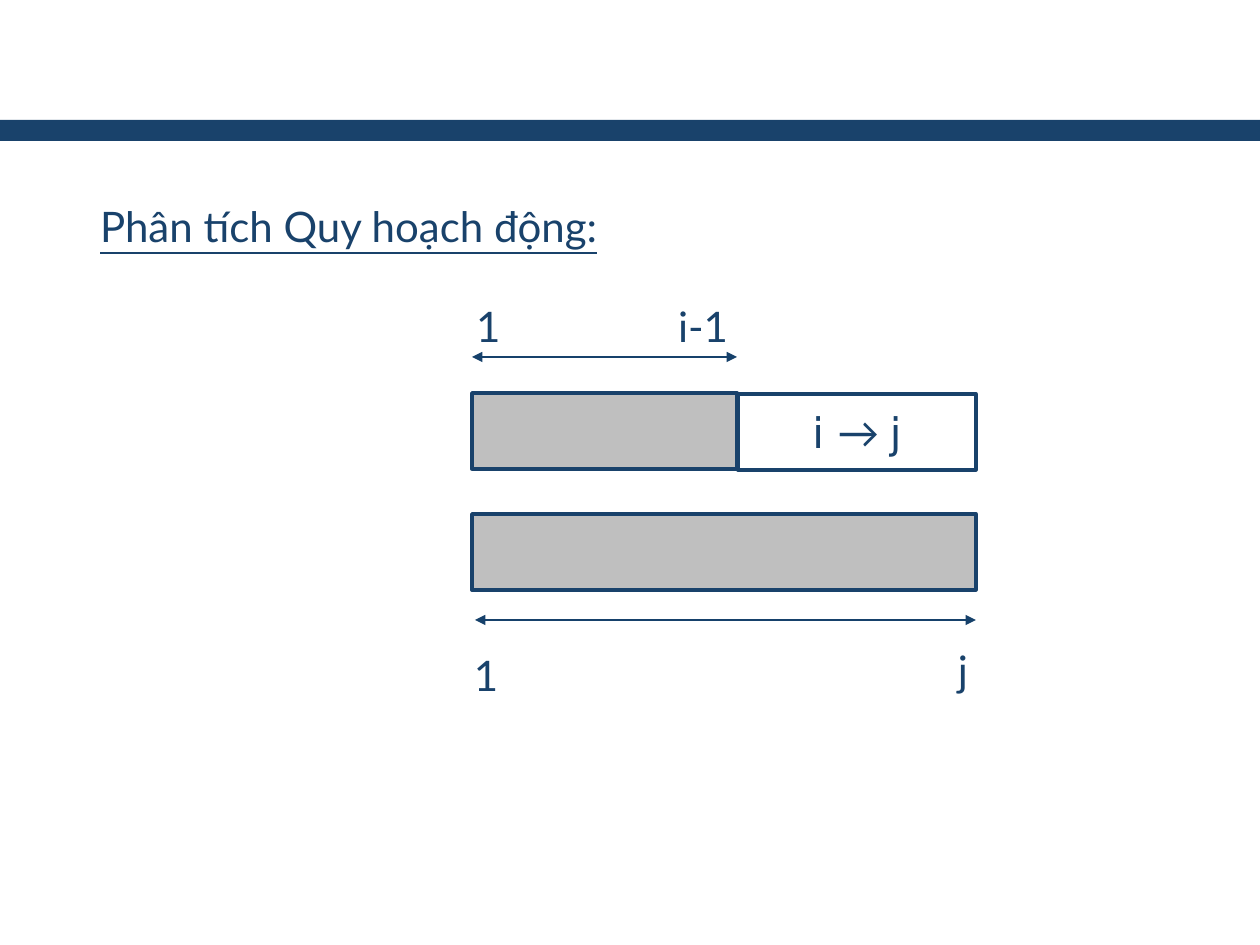
from lxml import etree
from pptx import Presentation
from pptx.dml.color import RGBColor
from pptx.enum.shapes import MSO_CONNECTOR, MSO_SHAPE
from pptx.enum.text import MSO_ANCHOR, MSO_AUTO_SIZE, PP_ALIGN
from pptx.oxml.ns import qn
from pptx.util import Emu, Pt

RECT = MSO_SHAPE.RECTANGLE
LINE = MSO_CONNECTOR.STRAIGHT
TOP, MID = MSO_ANCHOR.TOP, MSO_ANCHOR.MIDDLE
LEFT, MIDST = PP_ALIGN.LEFT, PP_ALIGN.CENTER
FIT = MSO_AUTO_SIZE.NONE
COLORS = {"navy": "19426B", "arrow": "16416B", "gray": "BFBFBF", "white": "FFFFFF"}
SCALE = 914400 / 126
LABEL = {"word_wrap": True, "auto_size": FIT, "vertical_anchor": TOP,
         "margin_left": Emu(round(68 * SCALE))}
CELL = {"word_wrap": True, "vertical_anchor": MID}


def px(*nums):
    """Turn pixels into a list of EMU lengths."""
    return [Emu(round(n * SCALE)) for n in nums]


def color(name):
    """Look up a named colour."""
    return RGBColor.from_string(COLORS[name])


def write(shape, runs, frame, para, under=None):
    """Fill a shape with (text, font) runs."""
    text = shape.text_frame
    for key, val in frame.items():
        setattr(text, key, val)
    line = text.paragraphs[0]
    for key, val in para.items():
        setattr(line, key, val)
    for words, face in runs:
        run = line.add_run()
        run.text = words
        for key, val in {"name": face, "size": Pt(24), "underline": under}.items():
            setattr(run.font, key, val)
        run.font.color.rgb = color("navy")


def block(slide, box, fill, edge=True):
    """Draw a plain rectangle, with or without an outline."""
    shape = slide.shapes.add_shape(RECT, *px(*box))
    shape.shadow.inherit = False
    shape.fill.solid()
    shape.fill.fore_color.rgb = color(fill)
    if edge:
        shape.line.color.rgb = color("navy")
        shape.line.width = Pt(2)
    else:
        shape.line.fill.background()
    return shape


def label(slide, box, words):
    """Place an index label."""
    shape = slide.shapes.add_textbox(*px(*box))
    write(shape, [(words, "Lato")], LABEL, {"alignment": LEFT, "line_spacing": 1.1})


def arrow(slide, left, right, y):
    """Draw a level arrow with a head at each end."""
    link = slide.shapes.add_connector(LINE, *px(left, y, right, y))
    link.line.color.rgb = color("arrow")
    link.line.width = Pt(0.75)
    stroke = link.line._get_or_add_ln()
    for end in ("a:headEnd", "a:tailEnd"):
        etree.SubElement(stroke, qn(end), type="triangle")
    etree.SubElement(link._element.spPr, qn("a:effectLst"))


def header(slide, box):
    """Draw the band and the title below it."""
    x, y, wide, high = box
    block(slide, (x, y, wide, 21), "navy", edge=False)
    title = slide.shapes.title
    title.left, title.top, title.width, title.height = px(x + 32, y + 69, 1129, high - 69)
    write(title, [("Phân tích Quy hoạch động:", "Lato")], LABEL,
          {"alignment": LEFT, "line_spacing": 1.1}, under=True)


def prefix(slide, box):
    """Draw the row split into a prefix and the segment i to j."""
    x, y, wide, high = box
    cut = 265
    block(slide, (x, y, cut, high), "gray")
    part = block(slide, (x + cut + 1, y + 1, wide - cut - 1, high), "white")
    write(part, [("i ", "DejaVu Sans"), ("→ ", "Lato"), ("j", "DejaVu Sans")],
          CELL, {"alignment": MIDST})
    arrow(slide, x, x + cut, y - 36)
    for words, gap in (("1", -64), ("i-1", 138)):
        label(slide, (x + gap, y - 104, 132, 77), words)


def whole(slide, box):
    """Draw the full row from 1 to j."""
    x, y, wide, high = box
    block(slide, box, "gray")
    arrow(slide, x + 3, x + wide, y + high + 30)
    for words, gap, drop, span in (("1", -66, 48, 132), ("j", 418, 43, 171)):
        label(slide, (x + gap, y + high + drop, span, 77), words)


def main():
    """Build and save the slide."""
    deck = Presentation()
    deck.slide_width, deck.slide_height = px(1260, 945)
    slide = deck.slides.add_slide(deck.slide_layouts[5])
    header(slide, (0, 120, 1260, 145))
    prefix(slide, (472, 393, 504, 76))
    whole(slide, (472, 514, 504, 76))
    deck.save("out.pptx")


if __name__ == "__main__":
    main()
